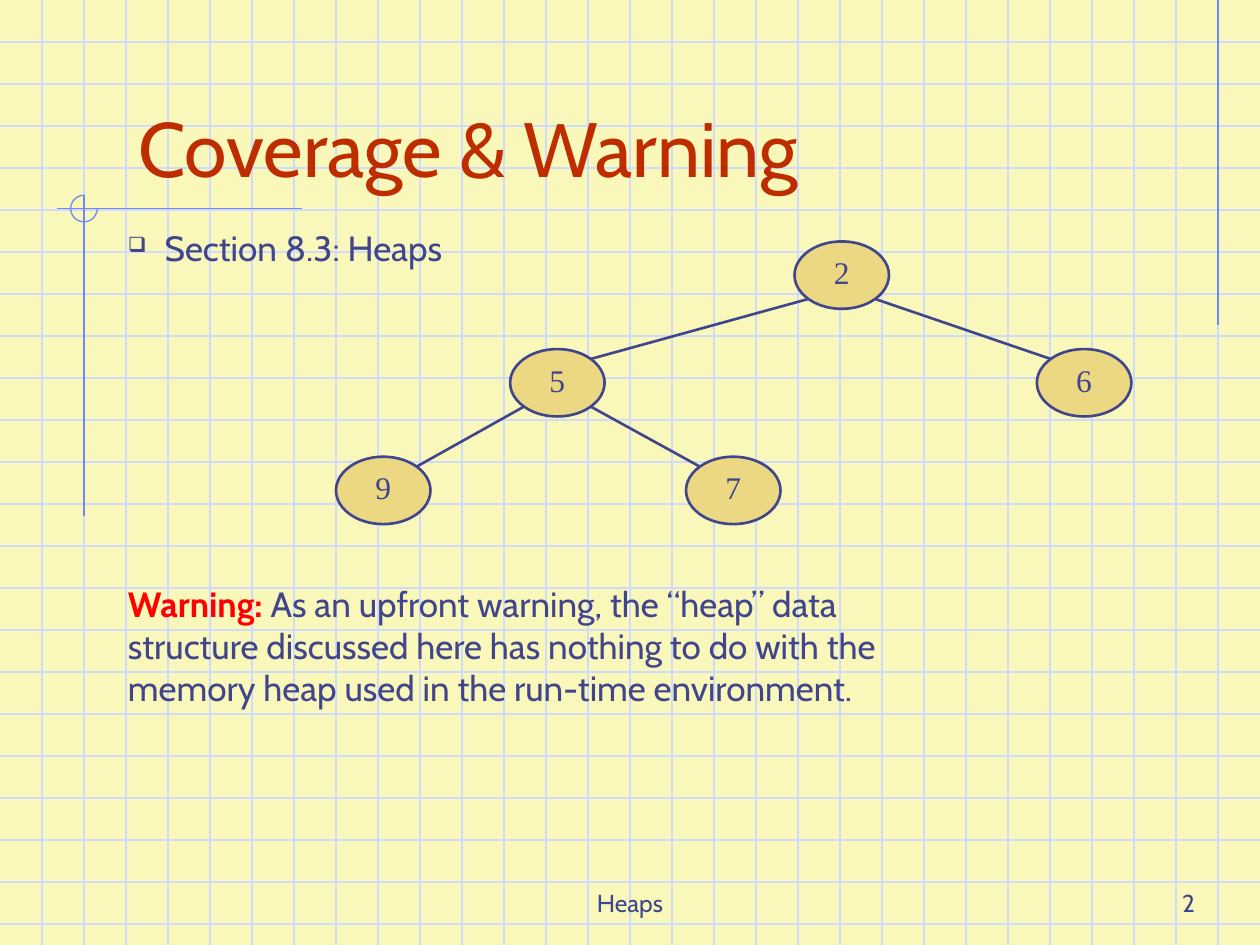
from math import sqrt

from lxml.etree import SubElement
from pptx import Presentation
from pptx.dml.color import RGBColor
from pptx.enum.shapes import MSO_CONNECTOR, MSO_SHAPE
from pptx.enum.text import MSO_ANCHOR, PP_ALIGN
from pptx.oxml.ns import qn
from pptx.util import Pt

PAPER = RGBColor(0xF9, 0xF8, 0xBA)
GRID = RGBColor(0xCF, 0xDB, 0xFD)
ORNAMENT = RGBColor(0x6F, 0x89, 0xF7)
RUST = RGBColor(0xBE, 0x2D, 0x00)
INDIGO = RGBColor(0x40, 0x45, 0x8C)
RED = RGBColor(0xFF, 0x00, 0x00)
SAND = RGBColor(0xEC, 0xD8, 0x82)

WIDTH, HEIGHT = 720, 540
GRID_STEP = 24
NODE_W, NODE_H = 54, 38.5

# value: (left, top) of the node inside the tree box
NODES = {2: (262, 0), 5: (99.5, 61.5), 6: (400.5, 61.5), 9: (0, 123), 7: (200, 123)}
EDGES = [(2, 5), (2, 6), (5, 9), (5, 7)]


def add_text(paragraph, text, size=20, color=INDIGO, font="Cabin", bold=False,
             align=PP_ALIGN.LEFT):
    run = paragraph.add_run()
    run.text = text
    run.font.size = Pt(size)
    run.font.name = font
    run.font.bold = bold
    run.font.color.rgb = color
    paragraph.alignment = align


def set_frame(frame, anchor, wrap=True, insets=(7.2, 3.6, 7.2, 3.6)):
    frame.word_wrap = wrap
    frame.vertical_anchor = anchor
    (frame.margin_left, frame.margin_top,
     frame.margin_right, frame.margin_bottom) = map(Pt, insets)


def place(shape, left, top, width, height):
    shape.left, shape.top, shape.width, shape.height = map(
        Pt, (left, top, width, height))


def add_line(slide, x1, y1, x2, y2, color, weight=0.75):
    line = slide.shapes.add_connector(
        MSO_CONNECTOR.STRAIGHT, Pt(x1), Pt(y1), Pt(x2), Pt(y2))
    line.line.color.rgb = color
    line.line.width = Pt(weight)
    SubElement(line._element.spPr, qn("a:effectLst"))


def add_grid(slide, left, top, width, height):
    for y in range(top + GRID_STEP, top + height, GRID_STEP):
        add_line(slide, left, y, left + width, y, GRID)
    for x in range(left + GRID_STEP, left + width, GRID_STEP):
        add_line(slide, x, top, x, top + height, GRID)


def add_ornament(slide, left, top, width, height):
    """Crossed rules with a three-quarter circle around the crossing."""
    radius = 7.6
    cross_x, cross_y = left + 15.6, top + radius
    add_line(slide, left, cross_y, left + width, cross_y, ORNAMENT)
    add_line(slide, cross_x, top, cross_x, top + height, ORNAMENT)
    ring = slide.shapes.add_shape(
        MSO_SHAPE.ARC, Pt(cross_x - radius), Pt(top), Pt(2 * radius), Pt(2 * radius))
    ring.adjustments[0] = 0
    ring.adjustments[1] = 162  # 270 degrees in 60000ths, over 100000
    ring.fill.background()
    ring.line.color.rgb = ORNAMENT
    ring.line.width = Pt(0.75)
    ring.shadow.inherit = False


def add_title(slide, *box):
    title = slide.shapes.title
    slide.shapes._spTree.append(title._element)  # in front of the grid
    place(title, *box)
    set_frame(title.text_frame, MSO_ANCHOR.BOTTOM)
    add_text(title.text_frame.paragraphs[0], "Coverage & Warning", size=44, color=RUST)


def add_bullet(paragraph, char, indent):
    props = paragraph._p.get_or_add_pPr()
    props.set("marL", str(Pt(indent)))
    props.set("indent", str(-Pt(indent)))
    color = SubElement(props, qn("a:buClr"))
    SubElement(color, qn("a:srgbClr"), val=str(INDIGO))
    SubElement(props, qn("a:buSzPct"), val="60000")
    SubElement(props, qn("a:buChar"), char=char)


def add_body(slide, *box):
    body = slide.shapes.add_textbox(*map(Pt, box))
    frame = body.text_frame
    set_frame(frame, MSO_ANCHOR.TOP)
    section = frame.paragraphs[0]
    add_bullet(section, "❑", 21)
    add_text(section, "Section 8.3: Heaps")
    warning = frame.add_paragraph()
    warning.space_before = Pt(179)  # leaves room for the tree
    add_text(warning, "Warning:", color=RED, bold=True)
    add_text(warning, " As an upfront warning, the “heap” data structure discussed here "
                      "has nothing to do with the memory heap used in the run-time "
                      "environment.")


def add_node(slide, value, left, top):
    node = slide.shapes.add_shape(
        MSO_SHAPE.OVAL, Pt(left), Pt(top), Pt(NODE_W), Pt(NODE_H))
    node.shadow.inherit = False
    node.fill.solid()
    node.fill.fore_color.rgb = SAND
    node.line.color.rgb = INDIGO
    node.line.width = Pt(1.5)
    set_frame(node.text_frame, MSO_ANCHOR.MIDDLE, wrap=False, insets=(0, 0, 0, 3.6))
    add_text(node.text_frame.paragraphs[0], str(value), size=18,
             font="Times New Roman", align=PP_ALIGN.CENTER)


def add_heap_tree(slide, left, top):
    for value, (x, y) in NODES.items():
        add_node(slide, value, left + x, top + y)
    # Edges join the diagonal points of the ellipses.
    reach_x, reach_y = NODE_W / 2 / sqrt(2), NODE_H / 2 / sqrt(2)
    for parent, child in EDGES:
        (px, py), (cx, cy) = NODES[parent], NODES[child]
        side = 1 if cx > px else -1
        mid_x, mid_y = left + NODE_W / 2, top + NODE_H / 2
        add_line(slide, mid_x + px + side * reach_x, mid_y + py + reach_y,
                 mid_x + cx - side * reach_x, mid_y + cy - reach_y, INDIGO, 1.5)


def add_footer(slide, text, align, *box):
    footer = slide.shapes.add_textbox(*map(Pt, box))
    set_frame(footer.text_frame, MSO_ANCHOR.BOTTOM)
    add_text(footer.text_frame.paragraphs[0], text, size=14, align=align)


def main():
    prs = Presentation()
    prs.slide_width, prs.slide_height = Pt(WIDTH), Pt(HEIGHT)
    slide = prs.slides.add_slide(prs.slide_layouts[5])
    slide.background.fill.solid()
    slide.background.fill.fore_color.rgb = PAPER

    add_grid(slide, 0, 0, WIDTH, HEIGHT)
    add_line(slide, 696, 0, 696, 186, ORNAMENT)
    add_ornament(slide, 32.4, 111.6, 140.4, 183)
    add_title(slide, 72, 24, 612, 114 - 0.4)
    slide.shapes.title.height = Pt(90)
    add_body(slide, 66, 126, 468, 300)
    add_heap_tree(slide, 192, 138)
    add_footer(slide, "Heaps", PP_ALIGN.CENTER, 246, 492, 228, 36)
    add_footer(slide, "2", PP_ALIGN.RIGHT, 540, 492, 150, 36)
    prs.save("out.pptx")


if __name__ == "__main__":
    main()
